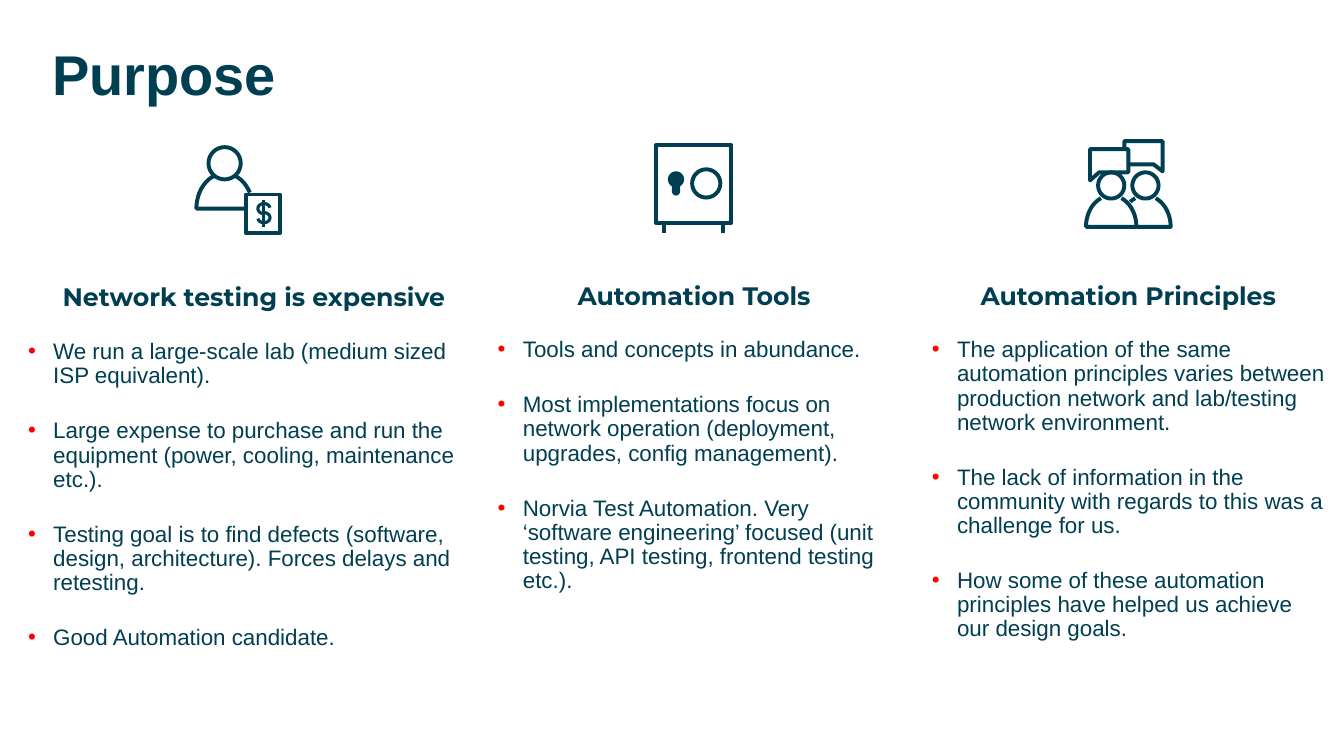
"""Build the "Purpose" slide: three icons, each above a heading and its bullets."""
from math import cos, radians, sin

from lxml.etree import SubElement
from pptx import Presentation
from pptx.dml.color import RGBColor
from pptx.enum.text import MSO_ANCHOR, PP_ALIGN
from pptx.oxml.ns import qn
from pptx.util import Inches, Pt

COLORS = {"ink": "003E51", "bullet": "FF0000"}
TITLE = {"size": Pt(40), "name": "Arial", "bold": True}
HEAD = {"size": Pt(18), "name": "Montserrat", "bold": True}
BODY = {"size": Pt(16), "name": "Arial", "bold": False}
TITLE_PARA = {"line_spacing": 0.9}
HEAD_PARA = {"alignment": PP_ALIGN.CENTER, "space_after": Pt(10)}
BODY_PARA = {"line_spacing": 0.9, "space_before": Pt(10), "space_after": Pt(12)}
WIDE_HEAD = {"line_spacing": 0.9, "space_before": Pt(10)}
SLIM_HEAD = {"space_before": Pt(6)}
TOP, HEIGHT, INDENT = 2.78, 4.05, 0.25

COLUMNS = [
    (0.18, 4.68, (0.1, 0.05), WIDE_HEAD, "Network testing is expensive", [
        "We run a large-scale lab (medium sized ISP equivalent).",
        "Large expense to purchase and run the equipment (power, cooling, maintenance etc.).",
        "Testing goal is to find defects (software, design, architecture). "
        "Forces delays and retesting.",
        "Good Automation candidate."]),
    (4.94, 3.9, (0, 0), SLIM_HEAD, "Automation Tools", [
        "Tools and concepts in abundance.",
        "Most implementations focus on network operation "
        "(deployment, upgrades, config management).",
        "Norvia Test Automation. Very ‘software engineering’ focused "
        "(unit testing, API testing, frontend testing etc.)."]),
    (9.25, 3.9, (0, 0), SLIM_HEAD, "Automation Principles", [
        "The application of the same automation principles varies between "
        "production network and lab/testing network environment.",
        "The lack of information in the community with regards to this was "
        "a challenge for us.",
        "How some of these automation principles have helped us achieve our design goals."]),
]


def arc(cx, cy, rx, ry, start=0, end=360, steps=32):
    angles = [radians(start + (end - start) * i / steps) for i in range(steps + 1)]
    return [(cx + rx * cos(a), cy + ry * sin(a)) for a in angles]


def circle(cx, cy, r):
    return arc(cx, cy, r, r)


def box(x1, y1, x2, y2):
    return [(x1, y1), (x2, y1), (x2, y2), (x1, y2), (x1, y1)]


BUYER = [
    circle(2.23, 1.62, 0.16),
    [(2.44, 2.07)] + arc(2.23, 2.07, 0.28, 0.35, 180, 247),
    arc(2.23, 2.07, 0.28, 0.35, 293, 333),
    box(2.44, 1.93, 2.78, 2.31),
]
DOLLAR = [
    arc(2.62, 2.07, 0.06, 0.05, 350, 90) + arc(2.62, 2.16, 0.06, 0.05, 270, 530),
    [(2.62, 1.98), (2.62, 2.25)],
]
SAFE = [box(6.51, 1.44, 7.26, 2.21)] + [[(x, 2.21), (x, 2.31)] for x in (6.59, 7.18)]
DIAL = [circle(7.01, 1.82, 0.14)]
KEYHOLE = [arc(6.71, 1.78, 0.08, 0.08, 120, 420) + arc(6.71, 1.9, 0.04, 0.04, 0, 180)]
PEOPLE = [
    circle(11.03, 1.84, 0.13),
    circle(11.37, 1.84, 0.13),
    arc(11.03, 2.25, 0.25, 0.31, 294, 360) + arc(11.03, 2.25, 0.25, 0.31, 180, 246),
    arc(11.37, 2.25, 0.25, 0.31, 233, 246),
    arc(11.37, 2.25, 0.25, 0.31, 294, 360) + [(11.28, 2.25)],
    [(10.82, 1.79), (10.82, 1.48), (11.2, 1.48), (11.2, 1.71), (10.91, 1.71), (10.82, 1.79)],
    [(11.16, 1.48), (11.16, 1.4), (11.54, 1.4), (11.54, 1.7), (11.45, 1.63), (11.2, 1.63)],
]
ICONS = [(PEOPLE, 2.8), (BUYER, 2.8), (DOLLAR, 2.2), (SAFE, 2.8), (DIAL, 2.8), (KEYHOLE, 0)]


def rgb(name):
    return RGBColor.from_string(COLORS[name])


def apply(obj, *formats):
    for values in formats:
        for key, value in values.items():
            setattr(obj, key, value)


def add_icon(s, outlines, width):
    pen = None
    for outline in outlines:
        pts = [(Inches(x), Inches(y)) for x, y in outline]
        if pen is None:
            pen = s.shapes.build_freeform(*pts[0], scale=1.0)
        else:
            pen.move_to(*pts[0])
        pen.add_line_segments(pts[1:], close=not width or outline[0] == outline[-1])
    sp = pen.convert_to_shape()
    sp.shadow.inherit = False
    if width:
        sp.fill.background()
        sp.line.color.rgb = rgb("ink")
        sp.line.width = Pt(width)
    else:
        sp.fill.solid()
        sp.fill.fore_color.rgb = rgb("ink")
        sp.line.fill.background()


def add_box(s, x, y, w, h, insets=(0.1, 0.05)):
    tf = s.shapes.add_textbox(Inches(x), Inches(y), Inches(w), Inches(h)).text_frame
    across, down = map(Inches, insets)
    apply(tf, {"word_wrap": True, "margin_left": across, "margin_right": across,
               "margin_top": down, "margin_bottom": down})
    return tf


def write(p, text, font, *formats):
    apply(p, *formats)
    r = p.add_run()
    r.text = text
    apply(r.font, font)
    r.font.color.rgb = rgb("ink")


def add_bullet(p):
    pPr = p._p.get_or_add_pPr()
    pPr.set("marL", str(Inches(INDENT)))
    pPr.set("indent", str(-Inches(INDENT)))
    color = SubElement(pPr, qn("a:buClr"))
    SubElement(color, qn("a:srgbClr"), val=COLORS["bullet"])
    SubElement(pPr, qn("a:buFont"), typeface="Arial")
    SubElement(pPr, qn("a:buChar"), char="•")


prs = Presentation()
prs.slide_width, prs.slide_height = Inches(13.34), Inches(7.5)
s = prs.slides.add_slide(prs.slide_layouts[6])

tf = add_box(s, 0.42, 0.24, 12.46, 1.05)
tf.vertical_anchor = MSO_ANCHOR.MIDDLE
write(tf.paragraphs[0], "Purpose", TITLE, TITLE_PARA)

for outlines, width in ICONS:
    add_icon(s, outlines, width)

for left, width, insets, head_para, heading, bullets in COLUMNS:
    tf = add_box(s, left, TOP, width, HEIGHT, insets)
    write(tf.paragraphs[0], heading, HEAD, HEAD_PARA, head_para)
    for text in bullets:
        p = tf.add_paragraph()
        write(p, text, BODY, BODY_PARA)
        add_bullet(p)

prs.save("out.pptx")
